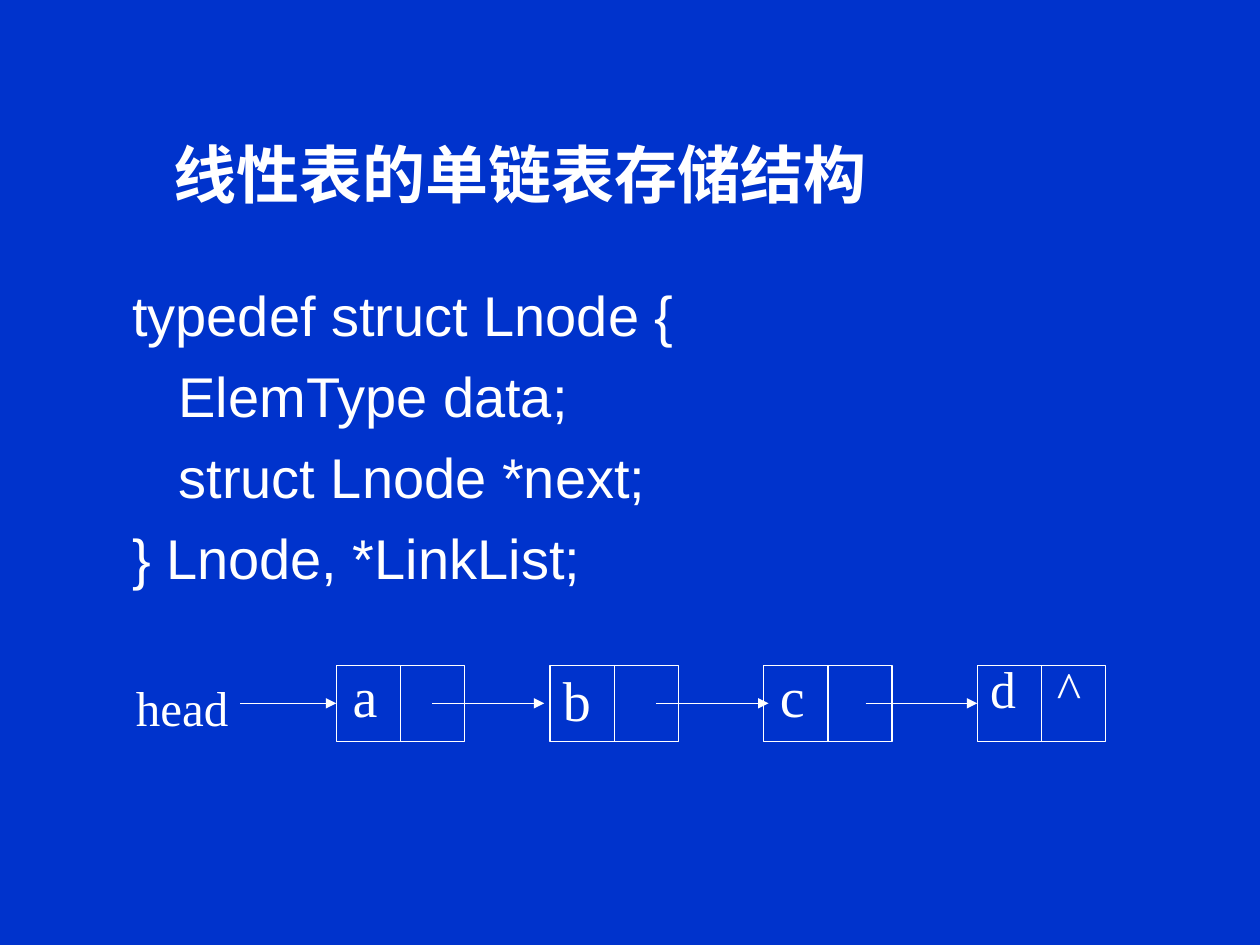
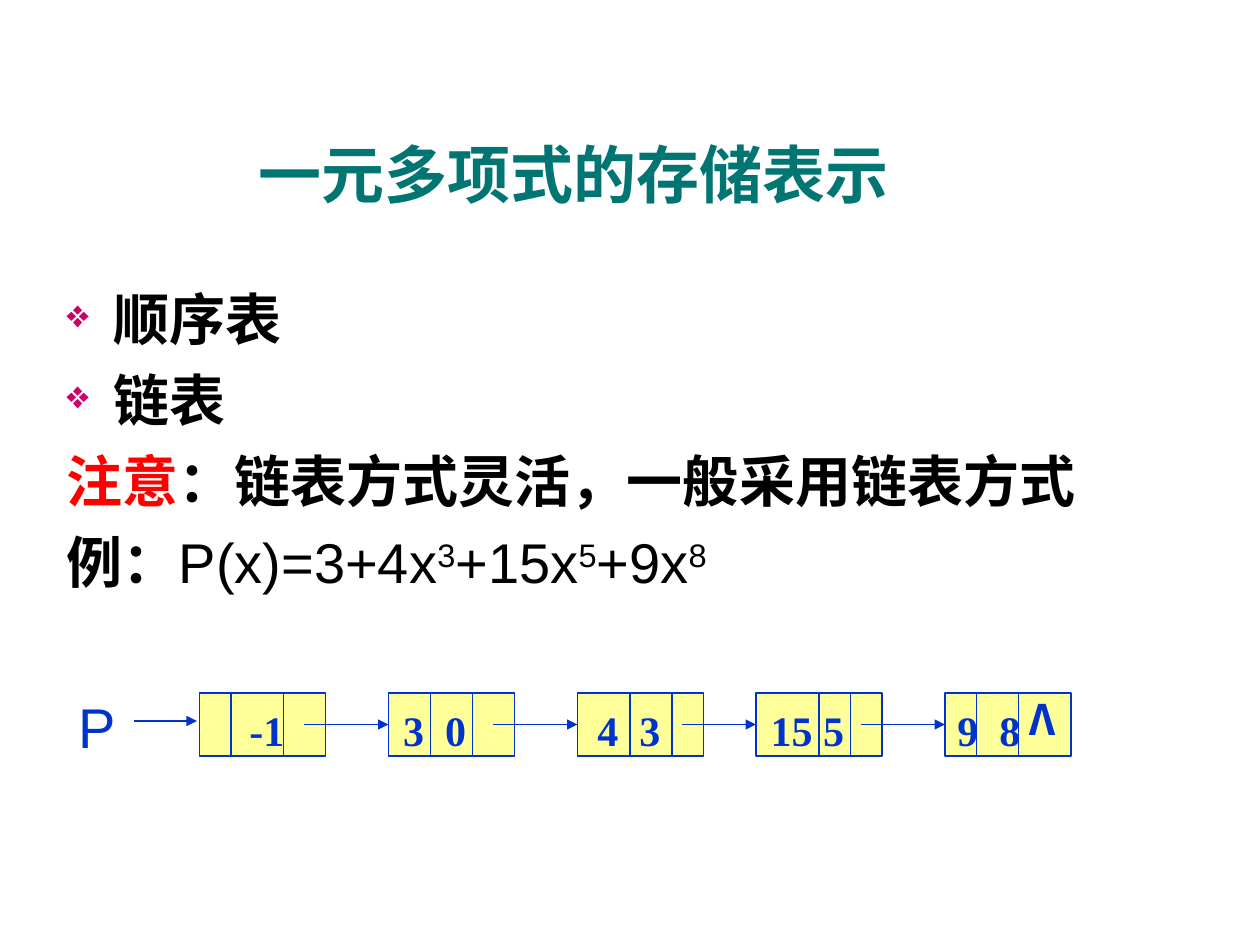
from lxml.etree import SubElement
from pptx import Presentation
from pptx.dml.color import RGBColor
from pptx.enum.shapes import MSO_CONNECTOR, MSO_SHAPE
from pptx.enum.text import MSO_ANCHOR, MSO_AUTO_SIZE, PP_ALIGN
from pptx.oxml.ns import qn
from pptx.util import Pt

# Shared look
BLUE, WHITE, BLACK = "0033CC", "FFFFFF", "000000"
TEAL, RED, PINK, CREAM = "007572", "FF0000", "CC0066", "FFFF99"
SANS, SERIF, HAN = "Arial", "Times New Roman", "Noto Sans CJK SC"
RISE = {SANS: 0.905, SERIF: 0.891, HAN: 1.16}  # ascent per point of size
PITCH = 46.3


def paint(part, color):
    part.rgb = RGBColor.from_string(color)


def fill(target, color):
    target.fill.solid()
    paint(target.fill.fore_color, color)


def add_run(para, text, size, color, font=SANS, bold=False, sup=False):
    run = para.add_run()
    run.text = text
    run.font.size = Pt(size)
    run.font.bold = bold
    paint(run.font.color, color)
    run.font.name = font
    props = run.font._element
    SubElement(props, qn("a:ea")).set("typeface", HAN)
    if sup:
        props.set("baseline", "30000")


def add_page(deck, back, title, color, width):
    slide = deck.slides.add_slide(deck.slide_layouts[5])
    fill(slide.background, back)
    head = slide.shapes.title
    head.left, head.top, head.width, head.height = Pt(24), Pt(54), Pt(width), Pt(90)
    frame = head.text_frame
    frame.auto_size = MSO_AUTO_SIZE.NONE
    frame.vertical_anchor = MSO_ANCHOR.MIDDLE
    para = frame.paragraphs[0]
    para.alignment = PP_ALIGN.CENTER
    add_run(para, title, 36, color, bold=True)
    return slide


def add_frame(slide, left, top, width, height, pad=True):
    box = slide.shapes.add_textbox(Pt(left), Pt(top), Pt(width), Pt(height))
    frame = box.text_frame
    frame.word_wrap = True
    if not pad:
        frame.margin_left = frame.margin_right = 0
        frame.margin_top = frame.margin_bottom = 0
    return frame


def add_label(slide, text, left, base, size, color, font=SERIF, bold=False):
    """Set a short text with its baseline at base."""
    top = base - RISE[font] * size
    frame = add_frame(slide, left, top, size * 2.5, size * 1.2, pad=False)
    add_run(frame.paragraphs[0], text, size, color, font, bold)


def add_body(slide, left, top, width, lines):
    """Each line is (indent, bullet, runs); a run is (text, options)."""
    frame = add_frame(slide, left, top, width, 306)
    for i, (indent, mark, runs) in enumerate(lines):
        para = frame.add_paragraph() if i else frame.paragraphs[0]
        props = para._p.get_or_add_pPr()
        props.set("marL", str(int(Pt(indent))))
        para.line_spacing = Pt(PITCH)
        if mark:
            props.set("indent", str(-int(Pt(indent))))
            tint = SubElement(props, qn("a:buClr"))
            SubElement(tint, qn("a:srgbClr")).set("val", PINK)
            SubElement(props, qn("a:buSzPct")).set("val", "70000")
            SubElement(props, qn("a:buChar")).set("char", mark)
        for text, style in runs:
            add_run(para, text, 32, **style)


def add_node(slide, left, top, width, height, color, inside=None):
    node = slide.shapes.add_shape(
        MSO_SHAPE.RECTANGLE, Pt(left), Pt(top), Pt(width), Pt(height))
    node.shadow.inherit = False
    if inside:
        fill(node, inside)
    else:
        node.fill.background()
    paint(node.line.color, color)
    node.line.width = Pt(0.75)
    return node


def add_wire(slide, start, end, color, arrow=False):
    wire = slide.shapes.add_connector(
        MSO_CONNECTOR.STRAIGHT, *(Pt(v) for v in start + end))
    paint(wire.line.color, color)
    wire.line.width = Pt(0.75)
    if arrow:
        SubElement(wire.line._get_or_add_ln(), qn("a:tailEnd")).set("type", "triangle")
    SubElement(wire._element.spPr, qn("a:effectLst"))
    return wire


def add_bar(slide, node, left, top, width, height, part, color):
    """Divide a node at a distance from its left side."""
    x = left + part
    bar = add_wire(slide, (x, top), (x, top + height), color)
    if part == width / 2:
        bar.begin_connect(node, 0)
        bar.end_connect(node, 2)


# Slide 1: singly linked list
def add_list(slide, left, top):
    wide, high, step = 73.4, 43.4, 122.1
    mid = top + high / 2
    nodes = []
    for i in range(4):
        box = (left + i * step, top, wide, high)
        node = add_node(slide, *box, WHITE)
        add_bar(slide, node, *box, wide / 2, WHITE)
        nodes.append(node)
    # Letters: offset from the list, baseline from its top, size
    for text, x, base, size in [
            ("head", -114.5, 31.8, 28), ("a", 9.3, 26.1, 32),
            ("b", 129.5, 28.6, 32), ("c", 253.4, 26.1, 32),
            ("d", 373.6, 21.5, 29.6), ("^", 411.7, 21.5, 29.6)]:
        add_label(slide, text, left + x, top + base, size, WHITE)
    # Arrows, joined where they meet a node
    for x, end, node in [(-54.8, 0, nodes[0]), (54.8, 118.8, None),
                         (182.8, 247, None), (302.4, 366.3, nodes[3])]:
        wire = add_wire(slide, (left + x, mid), (left + end, mid), WHITE, True)
        if node:
            wire.end_connect(node, 1)


def make_list(deck):
    slide = add_page(deck, BLUE, "线性表的单链表存储结构", WHITE, 546)
    code = ["typedef struct Lnode {", "   ElemType data;",
            "   struct Lnode *next;", "} Lnode, *LinkList;"]
    add_body(slide, 24, 149, 569,
             [(44.4, None, [(line, {"color": WHITE})]) for line in code])
    add_list(slide, 192.2, 380.2)


# Slide 2: polynomial as a linked list
def add_chain(slide, left, top):
    wide, high = 72, 36
    mid = top + high / 2
    # Node offset, its two bars, its texts with their offsets
    cells = [
        (0, (18, 48), [("-1", 28.5)]),
        (108, (24, 48), [("3", 8.4), ("0", 32.4)]),
        (216, (30, 54), [("4", 11.3), ("3", 35.3)]),
        (318, (36, 54), [("15", 8.3), ("5", 38.3)]),
        (426, (18, 42), [("9", 7.1), ("8", 31.1), ("Λ", 48.4)])]
    nodes = []
    for x, bars, texts in cells:
        box = (left + x, top, wide, high)
        node = add_node(slide, *box, BLUE, CREAM)
        for part in bars:
            add_bar(slide, node, *box, part, BLUE)
        for text, part in texts:
            font = HAN if text == "Λ" else SERIF
            add_label(slide, text, left + x + part, top + 28, 24, BLUE, font, True)
        nodes.append(node)
    for i, node in enumerate(nodes[1:]):
        start = left + cells[i][0] + 60
        end = left + cells[i + 1][0]
        add_wire(slide, (start, mid), (end, mid), BLUE, True).end_connect(node, 1)
    # Head pointer
    add_label(slide, "P", left - 69, top + 28.6, 32, BLUE, SANS)
    add_wire(slide, (left - 37.5, top + 16), (left - 1.5, top + 16), BLUE, True)


def make_poly(deck):
    slide = add_page(deck, WHITE, "一元多项式的存储表示", TEAL, 608)
    bold = {"color": BLACK, "bold": True}
    plain = {"color": BLACK}
    power = {"color": BLACK, "sup": True}
    add_body(slide, 31, 151.3, 636.5, [
        (27, "❖", [("顺序表", bold)]),
        (27, "❖", [("链表", bold)]),
        (0, None, [("注意", {"color": RED, "bold": True}),
                   ("：链表方式灵活，一般采用链表方式", bold)]),
        (0, None, [("例：", bold), ("P(x)=3+4x", plain), ("3", power),
                   ("+15x", plain), ("5", power), ("+9x", plain), ("8", power)])])
    add_chain(slide, 114, 396)


def main():
    deck = Presentation()
    deck.slide_width, deck.slide_height = Pt(720), Pt(540)
    make_list(deck)
    make_poly(deck)
    deck.save("out.pptx")


if __name__ == "__main__":
    main()
